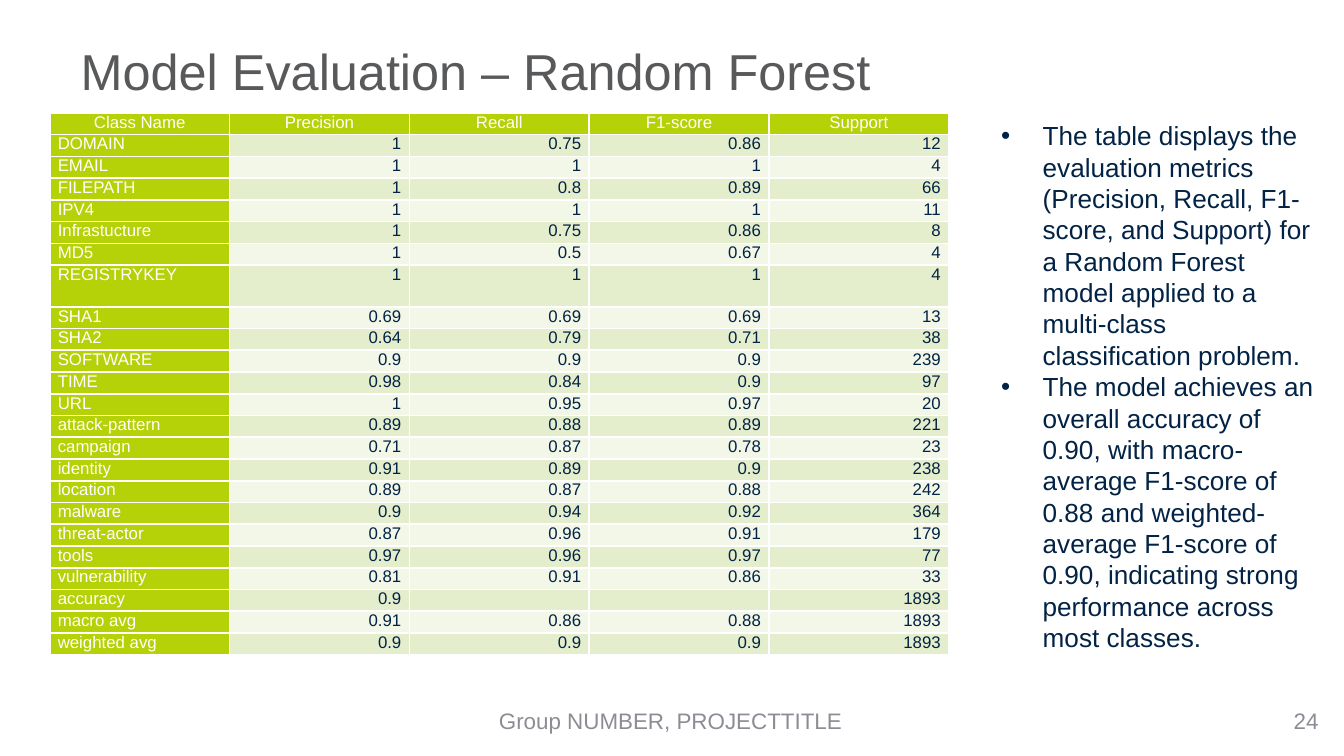
from lxml import etree
from pptx import Presentation
from pptx.dml.color import RGBColor
from pptx.enum import text
from pptx.oxml import ns
from pptx.util import Inches, Pt

COLORS = {
    "title": "58595B",
    "footer": "8C8D94",
    "body": "022345",
    "white": "FFFFFF",
    "header": "B5D107",
    "odd_row": "E5EECC",
    "even_row": "F3F7E7",
}
ALIGN = text.PP_ALIGN

HEADINGS = ["Class Name", "Precision", "Recall", "F1-score", "Support"]
METRICS = [
    ("DOMAIN", "1", "0.75", "0.86", "12"),
    ("EMAIL", "1", "1", "1", "4"),
    ("FILEPATH", "1", "0.8", "0.89", "66"),
    ("IPV4", "1", "1", "1", "11"),
    ("Infrastucture", "1", "0.75", "0.86", "8"),
    ("MD5", "1", "0.5", "0.67", "4"),
    ("REGISTRYKEY", "1", "1", "1", "4"),
    ("SHA1", "0.69", "0.69", "0.69", "13"),
    ("SHA2", "0.64", "0.79", "0.71", "38"),
    ("SOFTWARE", "0.9", "0.9", "0.9", "239"),
    ("TIME", "0.98", "0.84", "0.9", "97"),
    ("URL", "1", "0.95", "0.97", "20"),
    ("attack-pattern", "0.89", "0.88", "0.89", "221"),
    ("campaign", "0.71", "0.87", "0.78", "23"),
    ("identity", "0.91", "0.89", "0.9", "238"),
    ("location", "0.89", "0.87", "0.88", "242"),
    ("malware", "0.9", "0.94", "0.92", "364"),
    ("threat-actor", "0.87", "0.96", "0.91", "179"),
    ("tools", "0.97", "0.96", "0.97", "77"),
    ("vulnerability", "0.81", "0.91", "0.86", "33"),
    ("accuracy", "0.9", "", "", "1893"),
    ("macro avg", "0.91", "0.86", "0.88", "1893"),
    ("weighted avg", "0.9", "0.9", "0.9", "1893"),
]
TALL_CLASS = "REGISTRYKEY"
FINDINGS = [
    "The table displays the evaluation metrics (Precision, Recall, F1-score, "
    "and Support) for a Random Forest model applied to a multi-class "
    "classification problem.",
    "The model achieves an overall accuracy of 0.90, with macro-average "
    "F1-score of 0.88 and weighted-average F1-score of 0.90, indicating "
    "strong performance across most classes.",
]


def rgb(name):
    return RGBColor.from_string(COLORS[name])


def style(paragraph, size, color, align=ALIGN.LEFT):
    paragraph.alignment = align
    paragraph.font.size = Pt(size)
    paragraph.font.name = "Arial"
    paragraph.font.color.rgb = rgb(color)


def add_title(slide, left, top, width, height, wording):
    title = slide.shapes.title
    title.left, title.top = Inches(left), Inches(top)
    title.width, title.height = Inches(width), Inches(height)
    title.text_frame.text = wording
    title.text_frame.vertical_anchor = text.MSO_ANCHOR.MIDDLE
    style(title.text_frame.paragraphs[0], 27, "title")


def add_text_frame(slide, left, top, width, height):
    box = slide.shapes.add_textbox(
        Inches(left), Inches(top), Inches(width), Inches(height))
    box.text_frame.word_wrap = True
    return box.text_frame


def add_footer(slide, left, top, width, height, wording, align):
    footer = add_text_frame(slide, left, top, width, height)
    footer.vertical_anchor = text.MSO_ANCHOR.MIDDLE
    footer.text = wording
    style(footer.paragraphs[0], 12, "footer", align)


def fill_cell(cell, wording, fill, color, align):
    cell.margin_left = cell.margin_right = Inches(0.06)
    cell.margin_top = cell.margin_bottom = 0
    cell.fill.solid()
    cell.fill.fore_color.rgb = rgb(fill)
    cell.text = wording
    paragraph = cell.text_frame.paragraphs[0]
    style(paragraph, 9, color, align)
    if not wording:  # keeps an empty cell from stretching its row
        etree.SubElement(paragraph._p, ns.qn("a:endParaRPr"), sz="900")


def add_metrics_table(slide, left, top, width, height):
    """The white cell borders come from the default table style."""
    rows = [HEADINGS, *METRICS]
    table = slide.shapes.add_table(
        len(rows), len(HEADINGS), Inches(left), Inches(top),
        Inches(width), Inches(height)).table
    table.first_col = True
    tall_height = 0.31
    row_height = (height - tall_height) / (len(rows) - 1)
    for column in table.columns:
        column.width = Inches(width / len(HEADINGS))
    for r, values in enumerate(rows):
        is_tall = values[0] == TALL_CLASS
        table.rows[r].height = Inches(tall_height if is_tall else row_height)
        for c, value in enumerate(values):
            if r == 0:
                look = "header", "white", ALIGN.CENTER
            elif c == 0:
                look = "header", "white", ALIGN.JUSTIFY
            else:
                band = "odd_row" if r % 2 else "even_row"
                look = band, "body", ALIGN.RIGHT
            fill_cell(table.cell(r, c), value, *look)


def add_findings(slide, left, top, width, height):
    findings = add_text_frame(slide, left, top, width, height)
    findings.auto_size = text.MSO_AUTO_SIZE.SHAPE_TO_FIT_TEXT
    for i, wording in enumerate(FINDINGS):
        paragraph = findings.add_paragraph() if i else findings.paragraphs[0]
        paragraph.text = wording
        properties = paragraph._p.get_or_add_pPr()
        properties.set("marL", str(Inches(0.31)))
        properties.set("indent", str(-Inches(0.31)))
        etree.SubElement(properties, ns.qn("a:buFont"), typeface="Arial")
        etree.SubElement(properties, ns.qn("a:buChar"), char="•")
        style(paragraph, 14, "body")


def main():
    deck = Presentation()
    deck.slide_width = Inches(10)
    deck.slide_height = deck.slide_width * 9 // 16
    slide = deck.slides.add_slide(deck.slide_layouts[5])

    # Title
    add_title(slide, 0.5, 0.23, 9, 0.59, "Model Evaluation – Random Forest")

    # Footer and page number
    add_footer(slide, 1.82, 5.21, 6.34, 0.3,
               "Group NUMBER, PROJECTTITLE", ALIGN.CENTER)
    add_footer(slide, 7.58, 5.21, 2.33, 0.3, "24", ALIGN.RIGHT)

    # Metrics per class, with findings beside them
    add_metrics_table(slide, 0.37, 0.84, 6.69, 4.04)
    add_findings(slide, 7.35, 0.84, 2.56, 4.31)

    deck.save("out.pptx")


if __name__ == "__main__":
    main()
